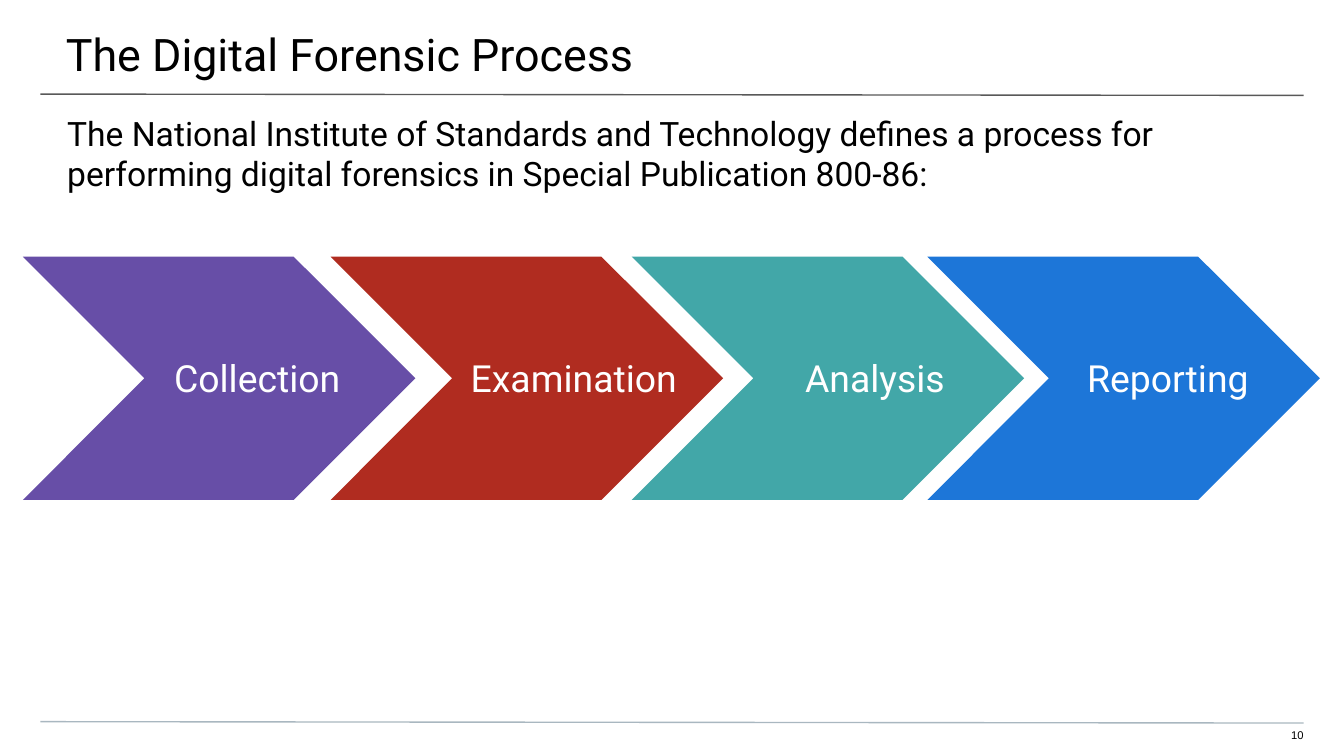
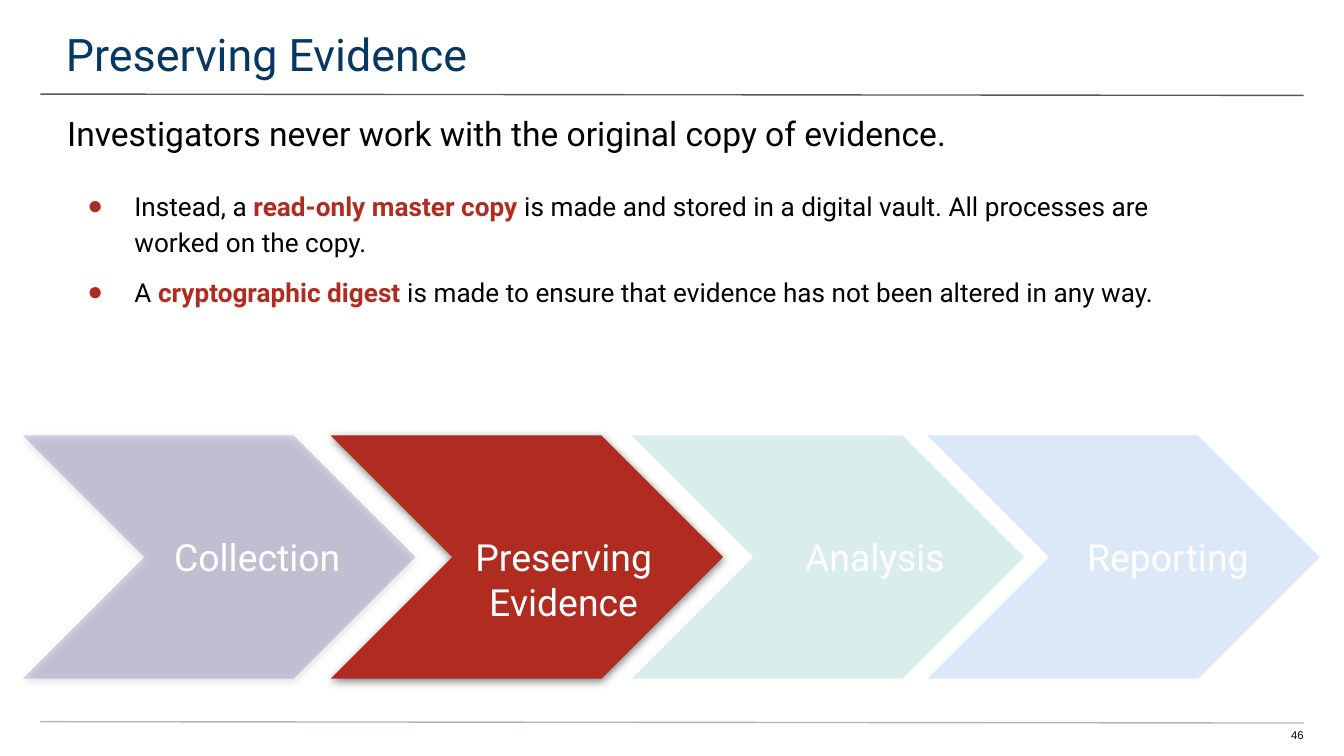
from dataclasses import dataclass, replace
from typing import NamedTuple

from lxml.etree import SubElement
from pptx import Presentation
from pptx.dml.color import RGBColor
from pptx.enum.shapes import MSO_CONNECTOR, MSO_SHAPE
from pptx.enum.text import MSO_ANCHOR, MSO_AUTO_SIZE, PP_ALIGN
from pptx.oxml.ns import qn
from pptx.util import Pt

PX = 914400 // 200  # 200 px to the inch


@dataclass(frozen=True)
class Theme:
    font: str = "Roboto"
    number_font: str = "Arial"
    black: str = "000000"
    white: str = "FFFFFF"
    navy: str = "073763"
    purple: str = "674EA7"
    red: str = "B02C20"
    teal: str = "42A7A8"
    blue: str = "1D76D8"
    top_rule: str = "595959"
    bottom_rule: str = "A9B7C0"
    title_size: int = 24
    lead_size: int = 18
    list_size: int = 14
    label_size: int = 20
    number_size: int = 6
    rule_width: float = 0.75


class Box(NamedTuple):
    x: int
    y: int
    w: int
    h: int


@dataclass(frozen=True)
class Stage:
    label: str
    color: str
    x: int
    label_x: int
    label_w: int
    alpha: int = 100
    shadow: bool = False


T = Theme()
PAGE = Box(0, 0, 2000, 1125)
TITLE = Box(-2, 0, 2006, 116)
NUMBER = Box(1882, 1084, 58, 24)
CHEVRON_W = 584
LABEL_TOP, LABEL_H = 127, 110

COLLECTION = Stage("Collection", T.purple, 34, 146, 474)
EXAMINATION = Stage("Examination", T.red, 492, 632, 444)
ANALYSIS = Stage("Analysis", T.teal, 940, 1080, 444)
REPORTING = Stage("Reporting", T.blue, 1380, 1536, 404)


def emu(*lengths):
    return [n * PX for n in lengths]


def rgb(color):
    return RGBColor.from_string(color)


def place(sp, box):
    sp.left, sp.top, sp.width, sp.height = emu(*box)


def frame(sp, left, top, right, bottom):
    """Set insets, wrapping and top anchoring; return the text frame."""
    tf = sp.text_frame
    tf.word_wrap = True
    tf.auto_size = MSO_AUTO_SIZE.NONE
    tf.vertical_anchor = MSO_ANCHOR.TOP
    (tf.margin_left, tf.margin_top,
     tf.margin_right, tf.margin_bottom) = emu(left, top, right, bottom)
    return tf


def add_run(p, text, size, color, bold=False, font=T.font):
    r = p.add_run()
    r.text = text
    r.font.name = font
    r.font.size = Pt(size)
    r.font.bold = bold
    r.font.color.rgb = rgb(color)


def set_bullet(p, char=None, color=None, margin=0, indent=0):
    pPr = p._p.get_or_add_pPr()
    pPr.set("marL", str(margin * PX))
    pPr.set("indent", str(indent * PX))
    if char is None:
        SubElement(pPr, qn("a:buNone"))
        return
    bu_color = SubElement(pPr, qn("a:buClr"))
    SubElement(bu_color, qn("a:srgbClr"), val=color)
    SubElement(pPr, qn("a:buChar"), char=char)


def add_rule(slide, y, color):
    line = slide.shapes.add_connector(
        MSO_CONNECTOR.STRAIGHT, *emu(60, y, 1940, y + 2))
    line.line.color.rgb = rgb(color)
    line.line.width = Pt(T.rule_width)
    SubElement(line.element.spPr, qn("a:effectLst"))


def add_text(slide, box, inset, text, size, color, align, font=T.font):
    sp = slide.shapes.add_textbox(*emu(*box))
    p = frame(sp, *inset).paragraphs[0]
    p.alignment = align
    add_run(p, text, size, color, font=font)


def add_base(prs, layout, title, title_color, number):
    """Add a slide with its title, rules and page number."""
    slide = prs.slides.add_slide(prs.slide_layouts.get_by_name(layout))
    add_rule(slide, 140, T.top_rule)
    add_rule(slide, 1074, T.bottom_rule)
    sp = slide.shapes.title
    place(sp, TITLE)
    p = frame(sp, 100, 40, 60, 20).paragraphs[0]
    p.alignment = PP_ALIGN.LEFT
    add_run(p, title, T.title_size, title_color)
    add_text(slide, NUMBER, (0, 0, 0, 20), number, T.number_size,
             T.black, PP_ALIGN.RIGHT, T.number_font)
    return slide


def fill_lead(sp, box, text):
    place(sp, box)
    p = frame(sp, 100, 20, 100, 0).paragraphs[0]
    set_bullet(p)
    p.space_before = Pt(0)
    add_run(p, text, T.lead_size, T.black)


def fill_list(sp, box, items):
    """Each item is a list of (text, is_key_term) runs; a newline breaks the line."""
    place(sp, box)
    tf = frame(sp, 100, 0, 0, 20)
    for i, item in enumerate(items):
        p = tf.add_paragraph() if i else tf.paragraphs[0]
        set_bullet(p, "●", T.red, 100, -70)
        p.space_before = Pt(10 if i else 0)
        p.line_spacing = 1.0 if i else 1.15
        for text, key in item:
            for n, part in enumerate(text.split("\n")):
                if n:
                    p.add_line_break()
                add_run(p, part, T.list_size, T.red if key else T.black, key)


def add_shadow(sp):
    effects = sp.element.spPr.find(qn("a:effectLst"))
    shadow = SubElement(effects, qn("a:outerShdw"), blurRad=str(Pt(4.5)),
                        dist=str(Pt(1.5)), dir="5400000", algn="bl",
                        rotWithShape="0")
    color = SubElement(shadow, qn("a:srgbClr"), val=T.black)
    SubElement(color, qn("a:alpha"), val="50000")


def add_chevron(slide, box, stage):
    sp = slide.shapes.add_shape(MSO_SHAPE.CHEVRON, *emu(*box))
    sp.adjustments[0] = 0.5
    sp.fill.solid()
    sp.fill.fore_color.rgb = rgb(stage.color)
    sp.line.fill.background()
    sp.shadow.inherit = False
    if stage.alpha < 100:
        color = sp.element.spPr.find(qn("a:solidFill")).find(qn("a:srgbClr"))
        SubElement(color, qn("a:alpha"), val=str(stage.alpha * 1000))
    if stage.shadow:
        add_shadow(sp)


def add_process(slide, box, stages):
    """Draw the chevrons, solid ones in front, then their labels."""
    for stage in sorted(stages, key=lambda s: s.alpha == 100):
        add_chevron(slide, Box(box.x + stage.x, box.y, CHEVRON_W, box.h), stage)
    for stage in stages:
        label = Box(box.x + stage.label_x, box.y + LABEL_TOP,
                    stage.label_w, LABEL_H)
        add_text(slide, label, (20, 20, 20, 20), stage.label, T.label_size,
                 T.white, PP_ALIGN.CENTER)


def process_slide(prs):
    slide = add_base(prs, "Title and Content", "The Digital Forensic Process",
                     T.black, "10")
    fill_lead(slide.placeholders[1], Box(0, 148, 1930, 214),
              "The National Institute of Standards and Technology defines a "
              "process for performing digital forensics in Special "
              "Publication 800-86:")
    add_process(slide, Box(0, 382, PAGE.w, 362),
                [COLLECTION, EXAMINATION, ANALYSIS, REPORTING])


def evidence_slide(prs):
    slide = add_base(prs, "Two Content", "Preserving Evidence", T.navy, "46")
    fill_lead(slide.placeholders[1], Box(0, 148, 2000, 80),
              "Investigators never work with the original copy of evidence.")
    fill_list(slide.placeholders[2], Box(0, 276, 1940, 236), [
        [("Instead, a ", False), ("read-only master copy", True),
         (" is made and stored in a digital vault. All processes are \n"
          "worked on the copy.", False)],
        [("A ", False), ("cryptographic digest", True),
         (" is made to ensure that evidence has not been altered in any way.",
          False)],
    ])
    add_process(slide, Box(0, 648, PAGE.w, 362), [
        replace(COLLECTION, alpha=24, shadow=True),
        replace(EXAMINATION, label="Preserving Evidence", label_w=414,
                shadow=True),
        replace(ANALYSIS, alpha=20),
        replace(REPORTING, alpha=16),
    ])


def main():
    prs = Presentation()
    prs.slide_width, prs.slide_height = emu(PAGE.w, PAGE.h)
    process_slide(prs)
    evidence_slide(prs)
    prs.save("out.pptx")


if __name__ == "__main__":
    main()
